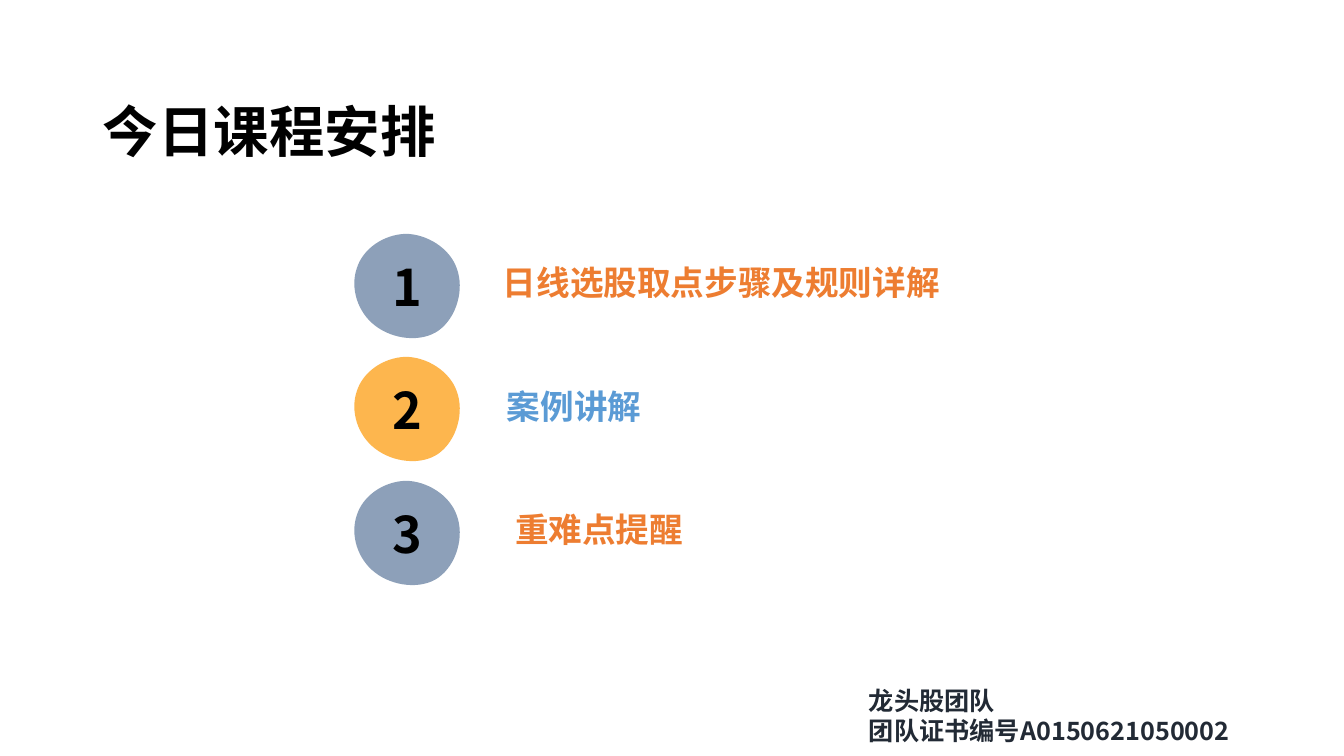
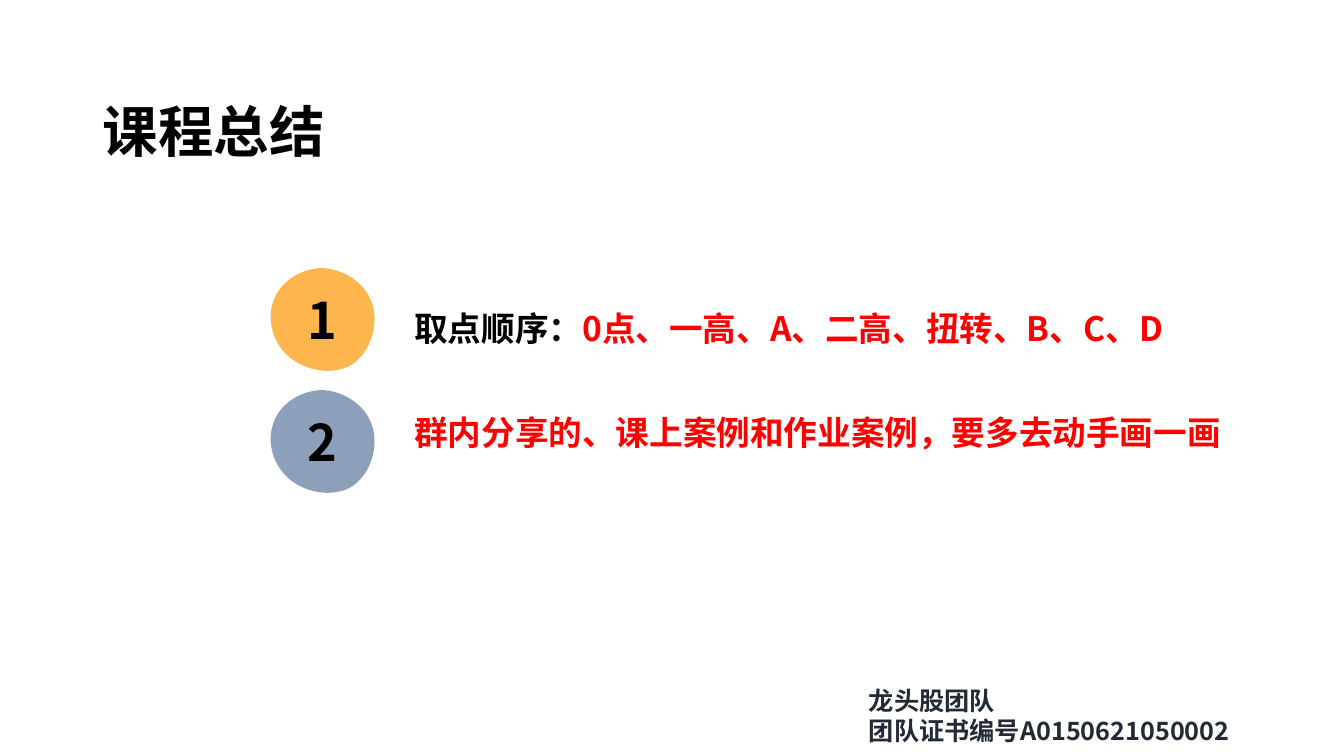
from pptx import Presentation
from pptx.dml.color import RGBColor
from pptx.enum import text as t
from pptx.oxml import ns
from pptx.util import Inches, Pt
from lxml import etree

FONT = "Noto Sans CJK SC"
BLACK, ORANGE, BLUE, RED, NAVY = "000000", "ED7D31", "5B9BD5", "FF0000", "222A35"
BADGE_BLUE, BADGE_YELLOW = "8DA0B9", "FDB64E"
FOOTER = ["龙头股团队", "团队证书编号A0150621050002"]

# Badge outline in inches: its size, a start point, then cubic curves
BLOB_WIDTH, BLOB_HEIGHT = 1.06, 1.04
BLOB = [
    ("moveTo", [(1.02, 0.34)]),
    ("cubicBezTo", [(1.10, 0.55), (1.02, 0.83), (0.84, 0.96)]),
    ("cubicBezTo", [(0.67, 1.08), (0.39, 1.05), (0.21, 0.91)]),
    ("cubicBezTo", [(0.04, 0.78), (-0.04, 0.54), (0.03, 0.34)]),
    ("cubicBezTo", [(0.09, 0.15), (0.29, 0.01), (0.51, 0)]),
    ("cubicBezTo", [(0.72, 0), (0.95, 0.14), (1.02, 0.34)]),
    ("close", []),
]

# Badges: top and colour. Items: left, top, width, indent, then coloured runs
SLIDES = [
    {"title": "今日课程安排", "left": 3.51, "scale": 1,
     "badges": [(2.32, BADGE_BLUE), (3.54, BADGE_YELLOW), (4.77, BADGE_BLUE)],
     "items": [(4.43, 2.55, 5.8, 0.46, [("日线选股取点步骤及规则详解", ORANGE)]),
               (4.57, 3.78, 5.13, 0.36, [("案例讲解", BLUE)]),
               (5.01, 5.0, 5.13, 0, [("重难点提醒", ORANGE)])]},
    {"title": "课程总结", "left": 2.68, "scale": 0.985,
     "badges": [(2.66, BADGE_YELLOW), (3.87, BADGE_BLUE)],
     "items": [(4.01, 3.01, 8.81, 0, [("取点顺序：", BLACK),
                                      ("0点、一高、A、二高、扭转、B、C、D", RED)]),
               (4.01, 4.04, 8.46, 0,
                [("群内分享的、课上案例和作业案例，要多去动手画一画", RED)])]},
]


def rgb(value):
    return RGBColor.from_string(value)


def style(paragraph, size, color, align=t.PP_ALIGN.LEFT):
    paragraph.alignment = align
    font = paragraph.font
    font.size, font.bold, font.name = Pt(size), True, FONT
    font.color.rgb = rgb(color)
    defaults = paragraph._p.pPr.find(ns.qn("a:defRPr"))
    etree.SubElement(defaults, ns.qn("a:ea"), typeface=FONT)


prs = Presentation()
prs.slide_width, prs.slide_height = Inches(13.33), Inches(7.5)

# Shared title position
layout = prs.slide_layouts[5]
heading = layout.placeholders[0]
heading.left, heading.top = Inches(0.92), Inches(0.96)
heading.width, heading.height = Inches(4.56), Inches(0.75)

for content in SLIDES:
    slide = prs.slides.add_slide(layout)

    # Title
    title = slide.shapes.title.text_frame
    title.text = content["title"]
    title.auto_size = t.MSO_AUTO_SIZE.NONE
    title.vertical_anchor = t.MSO_ANCHOR.MIDDLE
    title.paragraphs[0].line_spacing = 0.9
    style(title.paragraphs[0], 39.6, BLACK)

    # Item texts
    for left, top, width, indent, runs in content["items"]:
        item = slide.shapes.add_textbox(Inches(left), Inches(top), Inches(width), Inches(0.5))
        item.text_frame.word_wrap = True
        line = item.text_frame.paragraphs[0]
        style(line, 24, runs[0][1])
        if indent:
            line._p.pPr.set("marL", str(Inches(indent)))
        for words, color in runs:
            run = line.add_run()
            run.text = words
            run.font.color.rgb = rgb(color)

    # Numbered badges: the frame first, then the curves inside it
    left, scale = Inches(content["left"]), content["scale"]
    width, height = Inches(BLOB_WIDTH * scale), Inches(BLOB_HEIGHT * scale)
    for number, (top, fill) in enumerate(content["badges"], 1):
        top = Inches(top)
        builder = slide.shapes.build_freeform(left, top)
        builder.add_line_segments([(left + width, top), (left + width, top + height),
                                   (left, top + height)], close=True)
        badge = builder.convert_to_shape()
        outline = next(badge._element.iter(ns.qn("a:path")))
        for corner in list(outline):
            outline.remove(corner)
        for command, points in BLOB:
            step = etree.SubElement(outline, ns.qn("a:" + command))
            for x, y in points:
                etree.SubElement(step, ns.qn("a:pt"), x=str(Inches(x * scale)),
                                 y=str(Inches(y * scale)))
        badge.shadow.inherit = False
        badge.fill.solid()
        badge.fill.fore_color.rgb = rgb(fill)
        badge.line.fill.background()
        label = badge.text_frame
        label.text = str(number)
        label.word_wrap = False
        label.vertical_anchor = t.MSO_ANCHOR.MIDDLE
        style(label.paragraphs[0], 36, BLACK, t.PP_ALIGN.CENTER)

    # Footer
    footer = slide.shapes.add_textbox(Inches(8.52), Inches(6.75), Inches(3.96), Inches(0.71))
    footer.text_frame.word_wrap = True
    footer.text_frame.text = "\n".join(FOOTER)
    for line in footer.text_frame.paragraphs:
        style(line, 18, NAVY)

prs.save("out.pptx")
